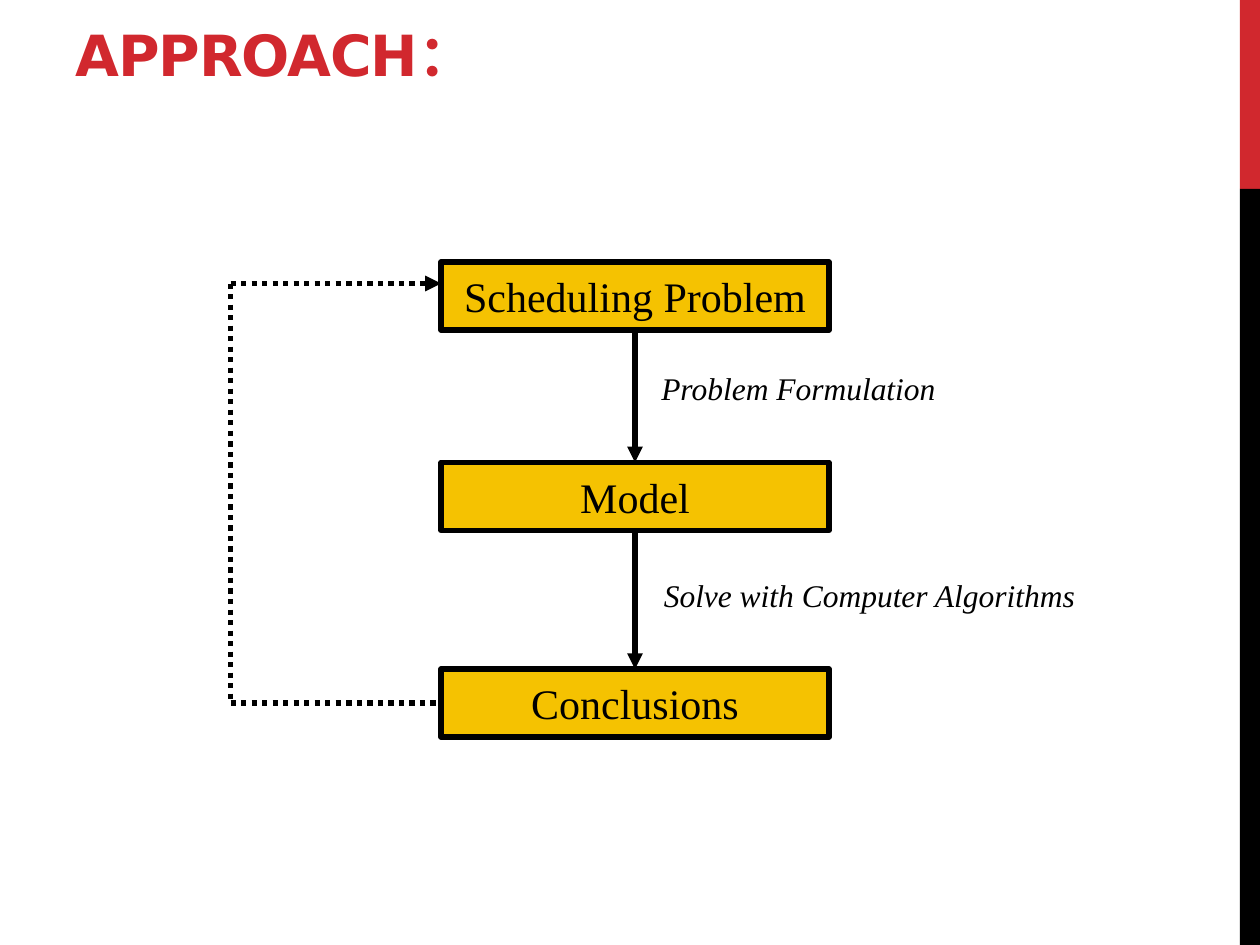
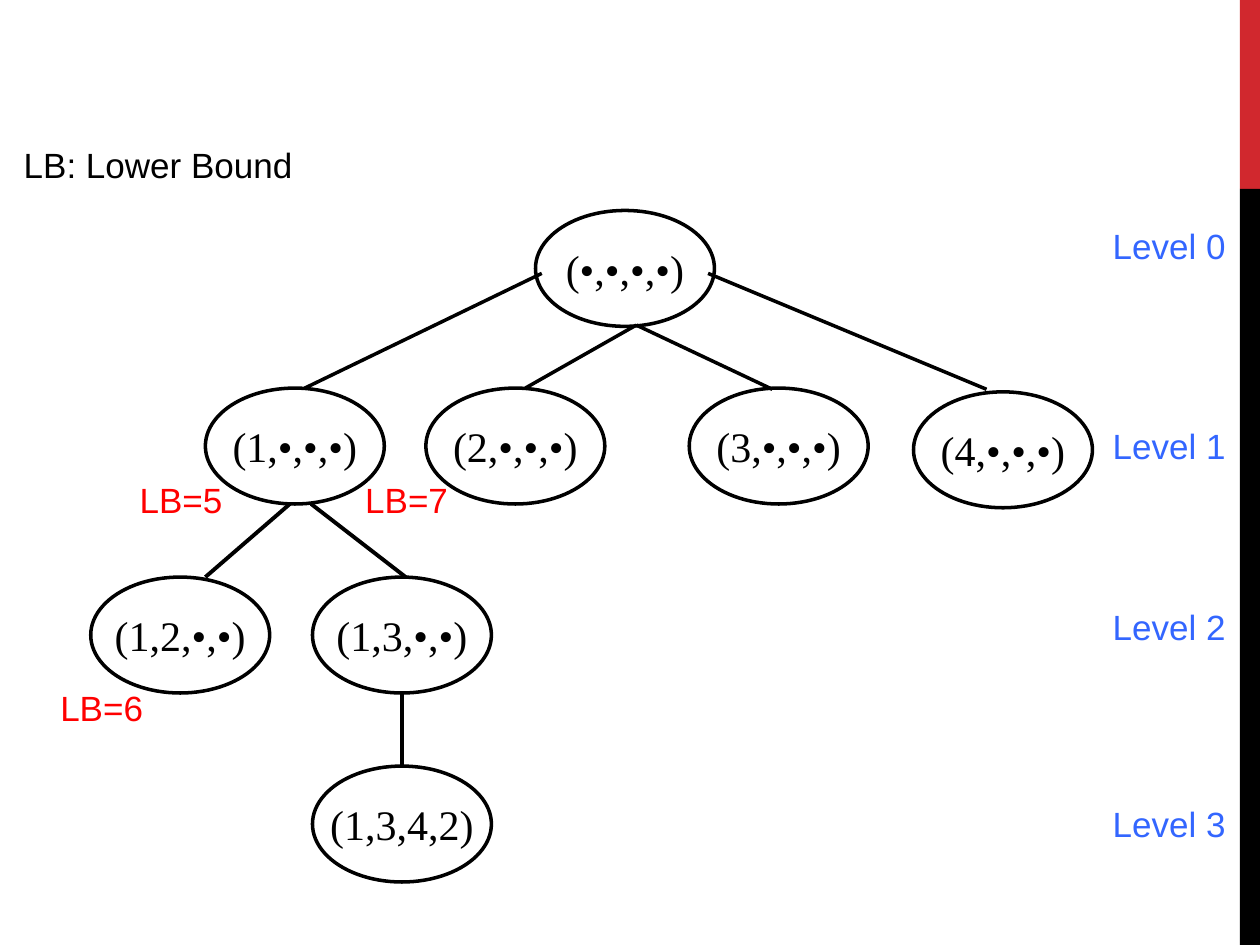
from lxml import etree
from pptx import Presentation
from pptx.dml.color import RGBColor
from pptx.enum.dml import MSO_LINE
from pptx.enum.shapes import MSO_CONNECTOR, MSO_SHAPE
from pptx.enum.text import MSO_ANCHOR, PP_ALIGN
from pptx.oxml.ns import qn
from pptx.util import Inches, Pt

RECT, OVAL = MSO_SHAPE.RECTANGLE, MSO_SHAPE.OVAL
STRAIGHT = MSO_CONNECTOR.STRAIGHT
DOTS = MSO_LINE.ROUND_DOT
TOP, MIDDLE, BOTTOM = MSO_ANCHOR.TOP, MSO_ANCHOR.MIDDLE, MSO_ANCHOR.BOTTOM
LEFT, CENTER = PP_ALIGN.LEFT, PP_ALIGN.CENTER

RED, BLACK, GOLD = "D1282E", "000000", "F5C201"
ALERT, BLUE = "FF0000", "3366FF"
TITLE = {"name": "DejaVu Sans", "size": Pt(32.4), "bold": True}
NODE = {"name": "Times New Roman", "size": Pt(24)}
STEP = {"name": "Times New Roman", "size": Pt(18), "italic": True}
NOTE = {"name": "Arial", "size": Pt(20)}


def color(code):
    """Turn a hex string into a colour."""
    return RGBColor.from_string(code)


class Deck:
    """Hold the shared style and the current slide."""

    def __init__(self):
        """Start an empty deck."""
        self.show = Presentation()
        self.show.slide_width, self.show.slide_height = Inches(10), Inches(7.5)
        self.slide = None

    def page(self):
        """Add a slide with the two side bands."""
        self.slide = self.show.slides.add_slide(self.show.slide_layouts[6])
        self.shape(RECT, 9.84, 0, 0.16, 1.5, fill=RED)
        self.shape(RECT, 9.84, 1.5, 0.16, 6, fill=BLACK)

    def text(self, shape, words, style, ink=BLACK, align=LEFT, anchor=TOP, wrap=True):
        """Put one styled run of text in a shape."""
        frame = shape.text_frame
        frame.word_wrap, frame.vertical_anchor = wrap, anchor
        line = frame.paragraphs[0]
        line.alignment = align
        run = line.add_run()
        run.text = words
        for key, value in style.items():
            setattr(run.font, key, value)
        run.font.color.rgb = color(ink)
        return run

    def shape(self, kind, x, y, w, h, fill=None, width=0):
        """Add a flat preset shape."""
        shape = self.slide.shapes.add_shape(kind, *map(Inches, (x, y, w, h)))
        shape.shadow.inherit = False
        if fill:
            shape.fill.solid()
            shape.fill.fore_color.rgb = color(fill)
        else:
            shape.fill.background()
        if width:
            shape.line.color.rgb = color(BLACK)
            shape.line.width = Pt(width)
        else:
            shape.line.fill.background()
        return shape

    def label(self, words, x, y, w, h, style, **look):
        """Add a text box."""
        box = self.slide.shapes.add_textbox(*map(Inches, (x, y, w, h)))
        return self.text(box, words, style, **look)

    def title(self, words):
        """Add the slide title."""
        run = self.label(words, 0.5, 0.17, 6.33, 0.58, TITLE, ink=RED, anchor=BOTTOM)
        run._r.get_or_add_rPr().set("spc", "-60")

    def box(self, words, y):
        """Add a gold step box."""
        box = self.shape(RECT, 3.5, y, 3.08, 0.54, GOLD, 3)
        self.text(box, words, NODE, align=CENTER, anchor=MIDDLE)
        return box

    def node(self, words, x, y):
        """Add a tree node."""
        oval = self.shape(OVAL, x, y, 1.42, 0.92, width=2)
        self.text(oval, words, NODE, align=CENTER, anchor=MIDDLE, wrap=False)

    def line(self, x1, y1, x2, y2, width=2, dash=None, arrow=False):
        """Add a straight line, dotted or with an arrowhead on request."""
        line = self.slide.shapes.add_connector(STRAIGHT, *map(Inches, (x1, y1, x2, y2)))
        line.line.color.rgb = color(BLACK)
        line.line.width = Pt(width)
        if dash:
            line.line.dash_style = dash
        form = line._element.spPr
        if arrow:
            etree.SubElement(form.find(qn("a:ln")), qn("a:tailEnd"), type="triangle")
        etree.SubElement(form, qn("a:effectLst"))
        return line


def approach(deck):
    """Draw the problem-solving loop."""
    deck.page()
    deck.title("APPROACH：")
    steps = [("Scheduling Problem", 2.08), ("Model", 3.67), ("Conclusions", 5.31)]
    boxes = [deck.box(*step) for step in steps]
    for start, end in zip(boxes, boxes[1:]):
        link = deck.line(5.04, 2.62, 5.04, 3.67, 3, arrow=True)
        link.begin_connect(start, 2)
        link.end_connect(end, 0)
    deck.label("Problem Formulation", 5.15, 2.88, 2.39, 0.4, STEP, wrap=False)
    deck.label("Solve with Computer Algorithms", 5.17, 4.52, 3.47, 0.4, STEP, wrap=False)
    deck.line(1.83, 2.25, 1.83, 5.58, 3, DOTS)
    deck.line(1.83, 2.25, 3.5, 2.25, 3, DOTS, arrow=True)
    deck.line(1.83, 5.58, 3.5, 5.58, 3, DOTS).end_connect(boxes[-1], 1)


def tree(deck):
    """Draw the branch and bound tree."""
    deck.page()
    nodes = [
        ("(•,•,•,•)", 4.25, 1.67),
        ("(1,•,•,•)", 1.63, 3.08),
        ("(2,•,•,•)", 3.38, 3.08),
        ("(3,•,•,•)", 5.47, 3.08),
        ("(4,•,•,•)", 7.25, 3.11),
        ("(1,2,•,•)", 0.72, 4.58),
        ("(1,3,•,•)", 2.48, 4.58),
        ("(1,3,4,2)", 2.48, 6.08),
    ]
    for node in nodes:
        deck.node(*node)
    edges = [
        (5.05, 2.58, 4.17, 3.08),
        (4.3, 2.17, 2.42, 3.08),
        (5.05, 2.58, 6.13, 3.09),
        (5.62, 2.17, 7.83, 3.09),
        (2.3, 4, 1.63, 4.58, 2.25),
        (2.47, 4, 3.22, 4.58, 2.25),
        (3.19, 5.5, 3.19, 6.08, 2.25),
    ]
    for edge in edges:
        deck.line(*edge)
    deck.label("LB: Lower Bound", 0.09, 1.09, 2.54, 0.44, NOTE)
    for bound, x, y in [(5, 1.01, 3.75), (7, 2.8, 3.75), (6, 0.38, 5.4)]:
        deck.label(f"LB={bound}", x, y, 0.91, 0.44, NOTE, ink=ALERT)
    for level, y in enumerate([1.73, 3.32, 4.76, 6.32]):
        deck.label(f"Level {level}", 8.73, y, 1.1, 0.44, NOTE, ink=BLUE, align=CENTER)


def main():
    """Build and save both slides."""
    deck = Deck()
    approach(deck)
    tree(deck)
    deck.show.save("out.pptx")


if __name__ == "__main__":
    main()
